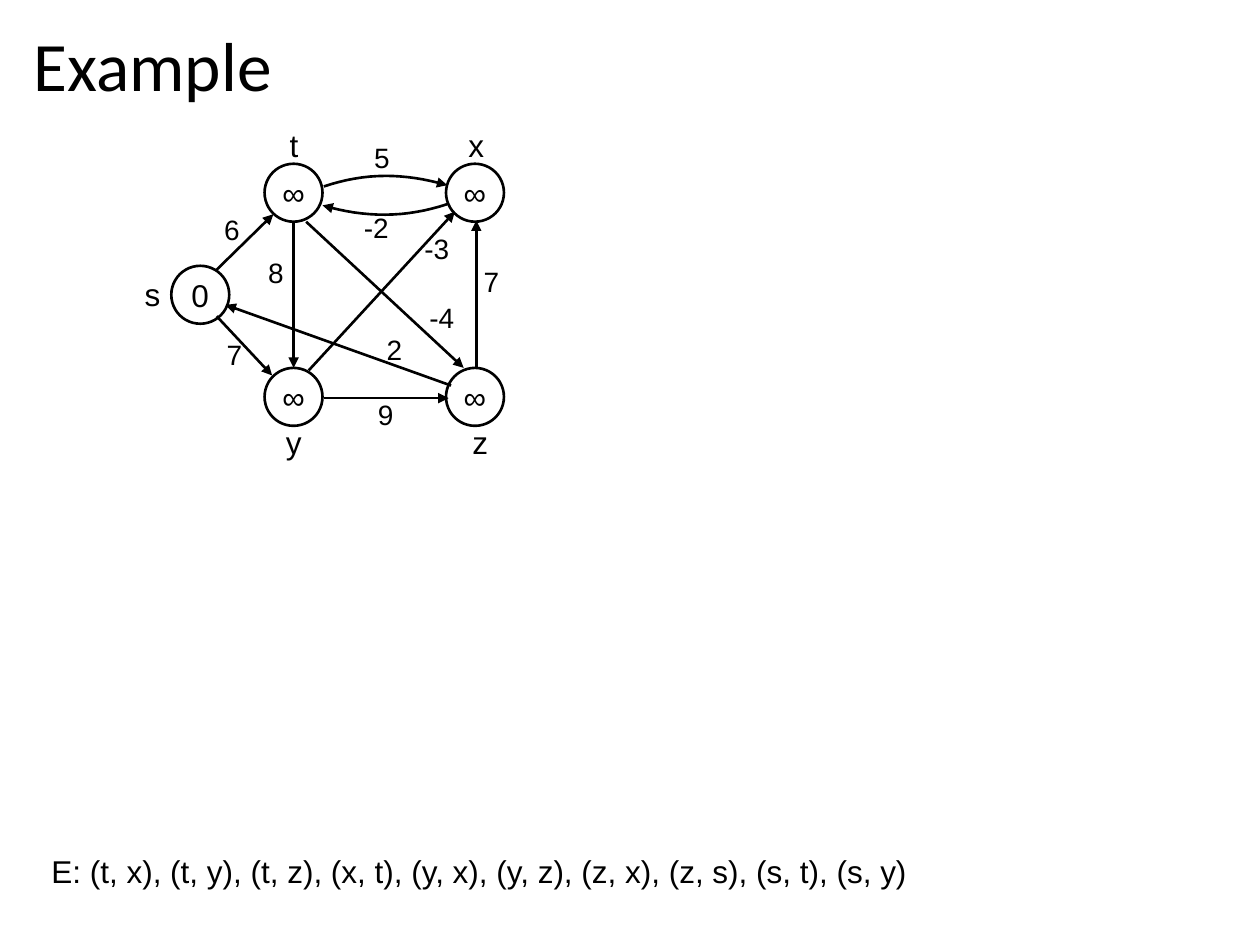
from dataclasses import dataclass

from lxml import etree
from pptx import Presentation
from pptx.dml.color import RGBColor
from pptx.enum.shapes import MSO_CONNECTOR, MSO_SHAPE
from pptx.enum.text import MSO_ANCHOR, PP_ALIGN
from pptx.oxml.ns import qn
from pptx.util import Inches, Pt

OVAL = MSO_SHAPE.OVAL
STRAIGHT = MSO_CONNECTOR.STRAIGHT
TOP, MIDDLE = MSO_ANCHOR.TOP, MSO_ANCHOR.MIDDLE
LEFT, CENTER = PP_ALIGN.LEFT, PP_ALIGN.CENTER


@dataclass(frozen=True)
class Theme:
    ink: RGBColor = RGBColor(0, 0, 0)
    head_font: str = "Calibri"
    font: str = "Arial"
    head: float = 39.6
    body: float = 18
    weight: float = 16
    line: float = 1.5


THEME = Theme()
SIZE = 0.46
STEPS = 16

NODES = [
    ("0", 1.36, 2.11),
    ("∞", 2.1, 1.3),
    ("∞", 3.54, 1.3),
    ("∞", 2.1, 2.92),
    ("∞", 3.54, 2.92),
]
NAMES = [
    ("s", 1.05, 2.13, 0.33),
    ("t", 2.2, 0.95, 0.27),
    ("x", 3.62, 0.95, 0.33),
    ("y", 2.17, 3.31, 0.33),
    ("z", 3.65, 3.31, 0.33),
]
WEIGHTS = [
    ("6", 1.68, 1.64),
    ("5", 2.87, 1.07),
    ("7", 1.7, 2.63),
    ("7", 3.74, 2.05),
    ("9", 2.9, 3.11),
    ("8", 2.03, 1.98),
    ("-3", 3.27, 1.79),
    ("2", 2.97, 2.59),
    ("-4", 3.31, 2.34),
    ("-2", 2.79, 1.62),
]
EDGES = [
    (1.71, 2.15, 2.17, 1.7),
    (1.72, 2.51, 2.16, 2.98),
    (2.57, 3.16, 3.56, 3.16),
    (2.45, 2.94, 3.61, 1.68),
    (3.58, 3.06, 1.79, 2.42),
    (2.33, 1.75, 2.33, 2.92),
    (3.78, 2.92, 3.78, 1.75),
    (2.43, 1.76, 3.68, 2.92),
]
CURVES = [
    ((2.57, 1.48), (2.9, 1.37), (3.2, 1.37), (3.55, 1.47)),
    ((3.55, 1.62), (3.22, 1.73), (2.9, 1.73), (2.56, 1.63)),
]


def set_text(shape, text, size, font=THEME.font, align=LEFT, anchor=TOP, wrap=False):
    frame = shape.text_frame
    frame.word_wrap = wrap
    frame.vertical_anchor = anchor
    para = frame.paragraphs[0]
    para.text = text
    para.alignment = align
    para.font.name = font
    para.font.size = Pt(size)
    para.font.color.rgb = THEME.ink
    return para


def add_label(slide, text, left, top, width, height, size, **style):
    box = slide.shapes.add_textbox(*map(Inches, (left, top, width, height)))
    return set_text(box, text, size, **style)


def set_line(shape):
    shape.line.color.rgb = THEME.ink
    shape.line.width = Pt(THEME.line)


def add_tip(shape):
    tip = etree.SubElement(shape.line._get_or_add_ln(), qn("a:tailEnd"))
    tip.set("type", "triangle")


def add_node(slide, text, left, top):
    node = slide.shapes.add_shape(OVAL, *map(Inches, (left, top, SIZE, SIZE)))
    node.shadow.inherit = False
    node.fill.background()
    set_line(node)
    set_text(node, text, THEME.body, align=CENTER, anchor=MIDDLE)


def add_edge(slide, ends):
    edge = slide.shapes.add_connector(STRAIGHT, *map(Inches, ends))
    set_line(edge)
    add_tip(edge)
    etree.SubElement(edge._element.spPr, qn("a:effectLst"))


def bezier(points, t):
    u = 1 - t
    parts = (u**3, 3 * u * u * t, 3 * u * t * t, t**3)
    return tuple(
        Inches(sum(part * value for part, value in zip(parts, axis)))
        for axis in zip(*points)
    )


def add_curve(slide, points):
    trace = [bezier(points, i / STEPS) for i in range(STEPS + 1)]
    form = slide.shapes.build_freeform(*trace[0])
    form.add_line_segments(trace[1:], close=False)
    curve = form.convert_to_shape()
    curve.shadow.inherit = False
    curve.fill.background()
    set_line(curve)
    add_tip(curve)


def main():
    deck = Presentation()
    deck.slide_width, deck.slide_height = Inches(10), Inches(7.5)
    slide = deck.slides.add_slide(deck.slide_layouts[6])

    title = add_label(slide, "Example", 0.17, 0.18, 9.62, 0.74, THEME.head,
                      font=THEME.head_font, anchor=MIDDLE, wrap=True)
    title.line_spacing = 0.9
    add_label(
        slide,
        "E: (t, x), (t, y), (t, z), (x, t), (y, x), (y, z), (z, x), (z, s), (s, t), (s, y)",
        0.31, 6.71, 7.03, 0.4, THEME.body,
    )
    for node in NODES:
        add_node(slide, *node)
    for ends in EDGES:
        add_edge(slide, ends)
    for points in CURVES:
        add_curve(slide, points)
    for name in NAMES:
        add_label(slide, *name, 0.4, THEME.body)
    for text, left, top in WEIGHTS:
        width = 0.32 if len(text) == 1 else 0.4
        add_label(slide, text, left, top, width, 0.37, THEME.weight)

    deck.save("out.pptx")


main()
